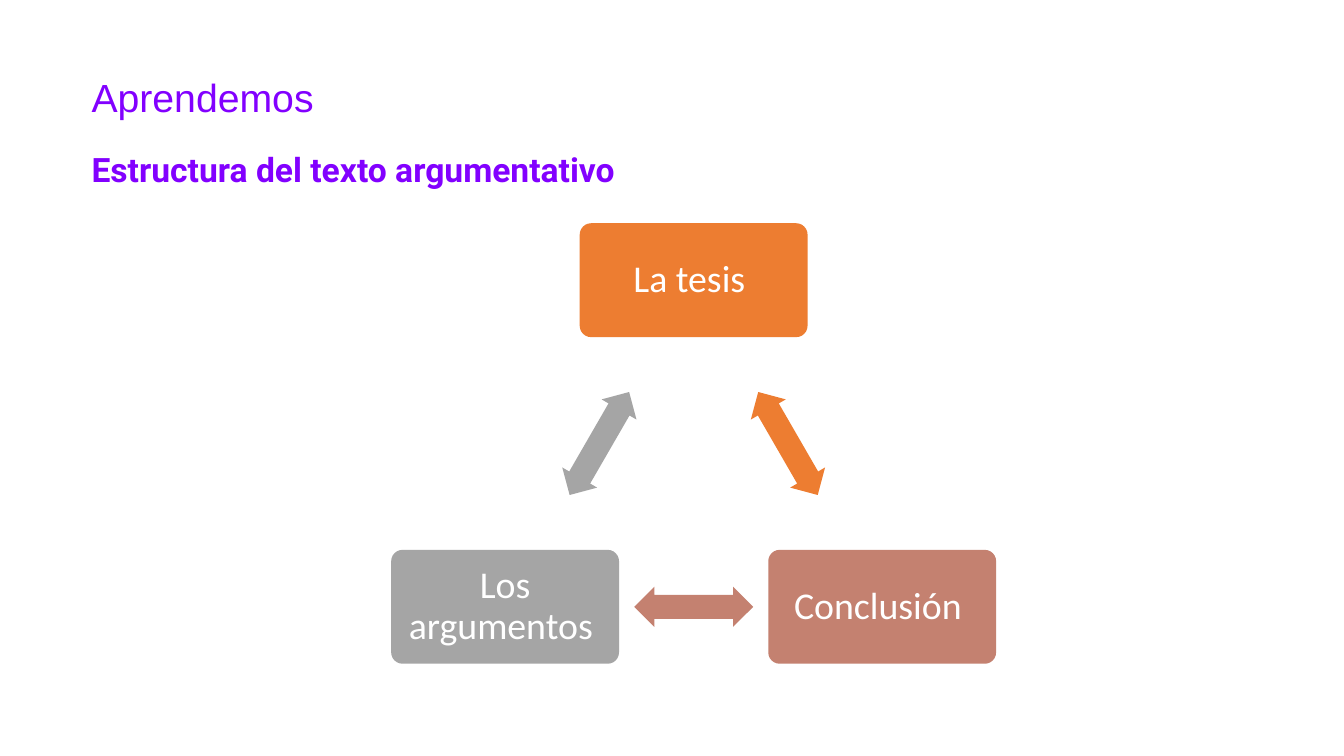
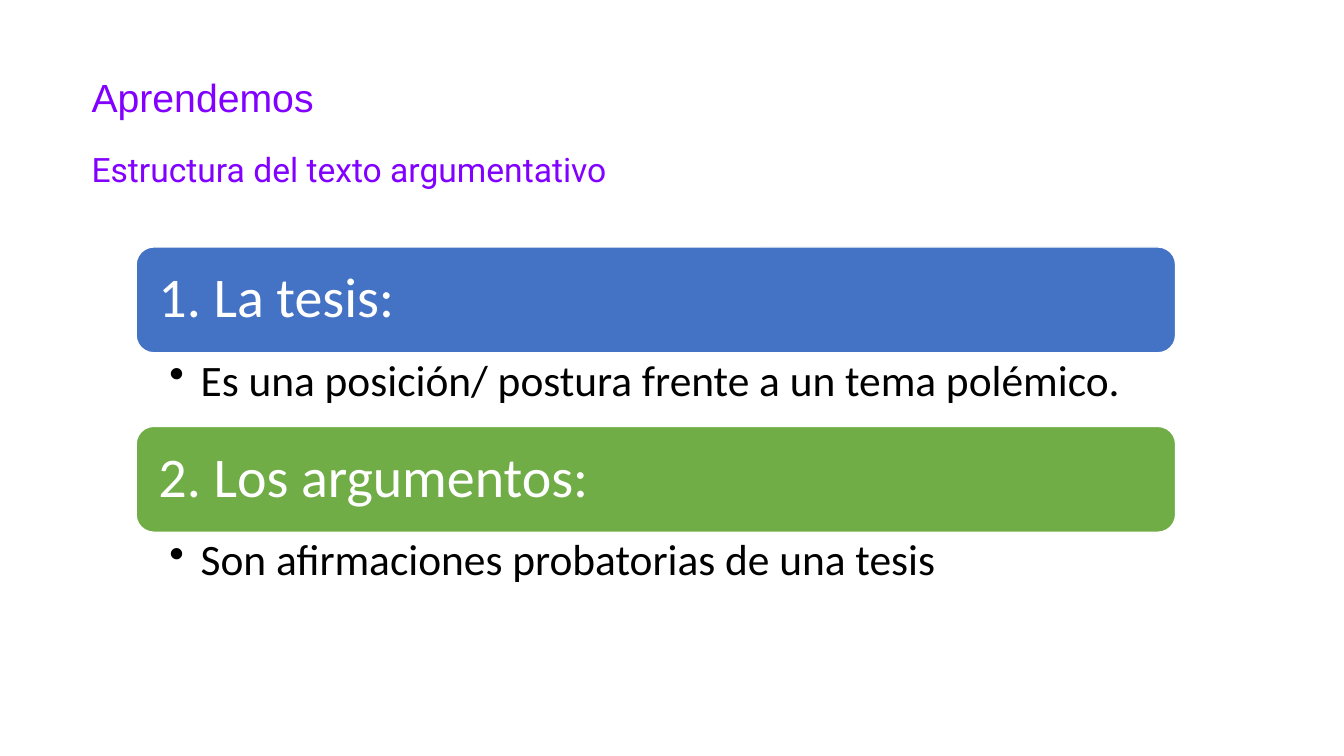
from dataclasses import dataclass

from lxml.etree import SubElement
from pptx import Presentation
from pptx.dml.color import RGBColor
from pptx.enum.shapes import MSO_SHAPE as SHAPE
from pptx.enum.text import MSO_ANCHOR as ANCHOR, PP_ALIGN as ALIGN
from pptx.oxml.ns import qn
from pptx.util import Inches, Pt

WHITE = RGBColor(0xFF, 0xFF, 0xFF)
BLACK = RGBColor(0x00, 0x00, 0x00)
PURPLE = RGBColor(0x82, 0x00, 0xFF)
ORANGE = RGBColor(0xED, 0x7D, 0x31)
CLAY = RGBColor(0xC4, 0x81, 0x70)
GRAY = RGBColor(0xA5, 0xA5, 0xA5)
BLUE = RGBColor(0x44, 0x72, 0xC4)
GREEN = RGBColor(0x70, 0xAD, 0x47)

NODE_W, NODE_H = 2.26, 1.13
ARROW_W, ARROW_H = 1.18, 0.4
LIST_X, LIST_Y, LIST_W = 1.35, 2.45, 10.31
BAR_H, DETAIL_H = 1.05, 0.73


@dataclass(frozen=True)
class Node:
    text: str
    cx: float
    cy: float
    color: RGBColor


@dataclass(frozen=True)
class Section:
    heading: str
    detail: str
    color: RGBColor


NODES = [
    Node("La tesis ", 6.88, 2.78, ORANGE),
    Node("Conclusión ", 8.75, 6.02, CLAY),
    Node("Los argumentos ", 5.01, 6.02, GRAY),
]
SECTIONS = [
    Section("1. La tesis:", "Es una posición/ postura frente a un tema polémico.", BLUE),
    Section("2. Los argumentos:", "Son afirmaciones probatorias de una tesis", GREEN),
]


def write(sp, text: str, font: str, size: float, color: RGBColor, *,
          bold: bool = False, align=ALIGN.LEFT, anchor=ANCHOR.MIDDLE,
          insets: tuple[float, float] = (0.1, 0.05)):
    tf = sp.text_frame
    tf.word_wrap = True
    tf.vertical_anchor = anchor
    tf.margin_left = tf.margin_right = Inches(insets[0])
    tf.margin_top = tf.margin_bottom = Inches(insets[1])
    p = tf.paragraphs[0]
    p.text = text
    p.alignment = align
    p.line_spacing = 0.9
    f = p.runs[0].font
    f.name, f.size, f.bold = font, Pt(size), bold
    f.color.rgb = color
    return p


def add_text_box(s, x: float, y: float, w: float, h: float):
    return s.shapes.add_textbox(Inches(x), Inches(y), Inches(w), Inches(h))


def add_filled(s, kind, x: float, y: float, w: float, h: float, color: RGBColor):
    sp = s.shapes.add_shape(kind, Inches(x), Inches(y), Inches(w), Inches(h))
    sp.shadow.inherit = False
    sp.fill.solid()
    sp.fill.fore_color.rgb = color
    sp.line.fill.background()
    return sp


def add_bullet(p, indent: float) -> None:
    pPr = p._p.get_or_add_pPr()
    pPr.set("marL", str(Inches(indent)))
    pPr.set("indent", str(-Inches(indent)))
    SubElement(pPr, qn("a:buChar")).set("char", "•")


def add_slide(prs, bold_subtitle: bool):
    s = prs.slides.add_slide(prs.slide_layouts[6])
    write(add_text_box(s, 0.81, 0.73, 11.73, 0.42), "Aprendemos",
          "Arial", 28, PURPLE, anchor=ANCHOR.TOP)
    write(add_text_box(s, 0.81, 1.41, 6.07, 0.59),
          "Estructura del texto argumentativo", "Roboto", 24, PURPLE,
          bold=bold_subtitle)
    return s


def draw_cycle(s, nodes: list[Node]) -> None:
    turn = 360 / len(nodes)
    for i, node in enumerate(nodes):
        sp = add_filled(s, SHAPE.ROUNDED_RECTANGLE, node.cx - NODE_W / 2,
                        node.cy - NODE_H / 2, NODE_W, NODE_H, node.color)
        sp.adjustments[0] = 0.1
        write(sp, node.text, "Calibri", 27, WHITE, align=ALIGN.CENTER,
              insets=(0.11, 0.11))

        following = nodes[(i + 1) % len(nodes)]
        mid_x = (node.cx + following.cx) / 2
        mid_y = (node.cy + following.cy) / 2
        arrow = add_filled(s, SHAPE.LEFT_RIGHT_ARROW, mid_x - ARROW_W / 2,
                           mid_y - ARROW_H / 2, ARROW_W, ARROW_H, node.color)
        arrow.adjustments[0] = 0.6
        arrow.adjustments[1] = 0.5
        arrow.rotation = turn / 2 + i * turn


def draw_list(s, sections: list[Section]) -> None:
    for i, section in enumerate(sections):
        y = LIST_Y + i * (BAR_H + DETAIL_H)
        bar = add_filled(s, SHAPE.ROUNDED_RECTANGLE, LIST_X, y, LIST_W, BAR_H,
                         section.color)
        bar.line.color.rgb = WHITE
        bar.line.width = Pt(1)
        write(bar, section.heading, "Calibri", 40, WHITE, insets=(0.17, 0.17))
        detail = add_text_box(s, LIST_X, y + BAR_H, LIST_W, DETAIL_H)
        p = write(detail, section.detail, "Calibri", 31, BLACK,
                  anchor=ANCHOR.TOP, insets=(0.33, 0.06))
        add_bullet(p, 0.31)


def main() -> None:
    prs = Presentation()
    prs.slide_width, prs.slide_height = Inches(13.33), Inches(7.5)
    draw_cycle(add_slide(prs, bold_subtitle=True), NODES)
    draw_list(add_slide(prs, bold_subtitle=False), SECTIONS)
    prs.save("out.pptx")


if __name__ == "__main__":
    main()
